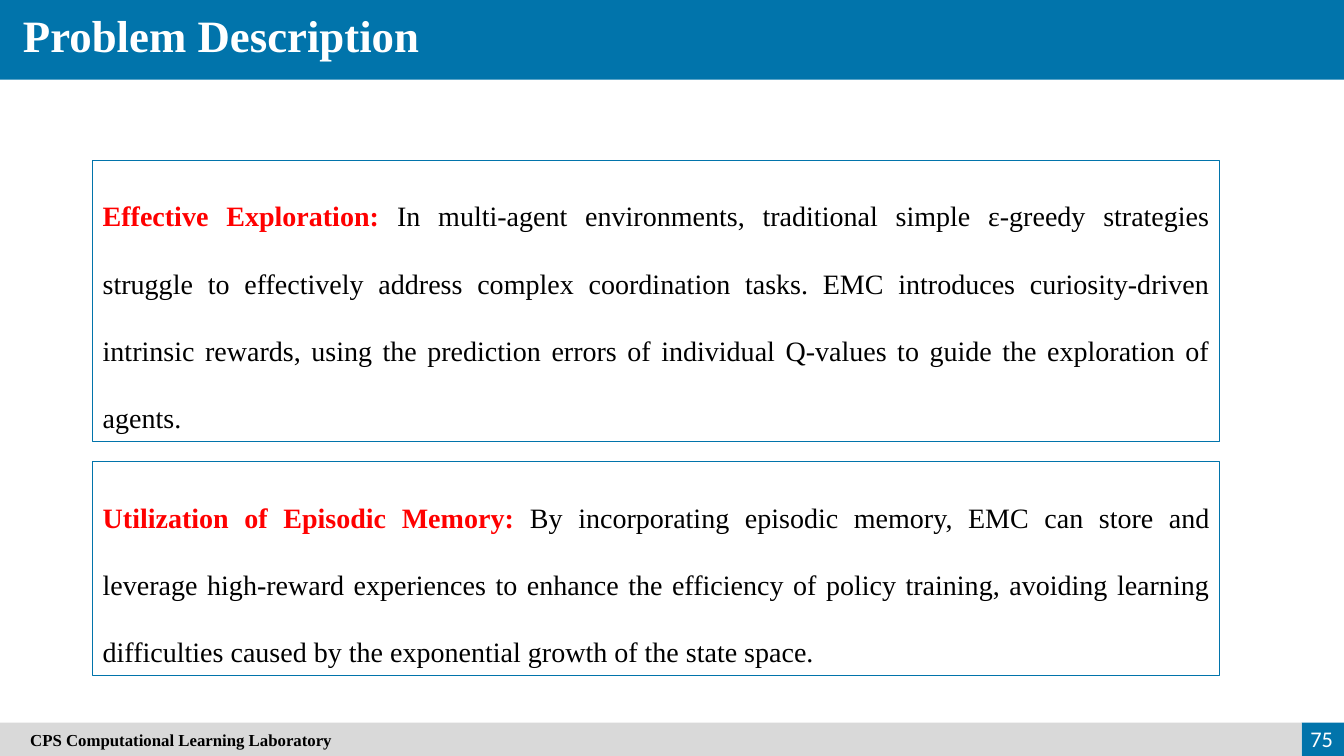
from pptx import Presentation
from pptx.dml.color import RGBColor
from pptx.enum.shapes import MSO_SHAPE
from pptx.enum.text import MSO_ANCHOR, PP_ALIGN
from pptx.util import Inches, Pt

BLUE = RGBColor(0x01, 0x74, 0xAB)
GREY = RGBColor(0xD9, 0xD9, 0xD9)
RED = RGBColor(0xFF, 0x00, 0x00)
BLACK = RGBColor(0x00, 0x00, 0x00)
WHITE = RGBColor(0xFF, 0xFF, 0xFF)
SERIF = "Times New Roman"

WIDE, HIGH = 13.33, 7.5
HEAD = 0.79             # title band height
FOOT = 0.33             # footer height
TAB = 0.42              # page number tab width
EDGE = 0.92             # left edge of the panels
SPAN = 11.18            # panel width
GAP = 0.2               # space between panels

deck = Presentation()
deck.slide_width, deck.slide_height = Inches(WIDE), Inches(HIGH)
slide = deck.slides.add_slide(deck.slide_layouts[6])


def block(left, top, width, height, fill=None, line=None):
    shape = slide.shapes.add_shape(
        MSO_SHAPE.RECTANGLE, Inches(left), Inches(top), Inches(width), Inches(height))
    shape.shadow.inherit = False
    if fill is None:
        shape.fill.background()
    else:
        shape.fill.solid()
        shape.fill.fore_color.rgb = fill
    if line is None:
        shape.line.fill.background()
    else:
        shape.line.color.rgb = line
        shape.line.width = Pt(0.75)
    return shape


def write(shape, parts, size, align, anchor=MSO_ANCHOR.TOP, face=SERIF):
    """Fill a shape with one paragraph of (text, colour, bold) parts."""
    frame = shape.text_frame
    frame.word_wrap = True
    frame.vertical_anchor = anchor
    para = frame.paragraphs[0]
    para.alignment = align
    for text, color, bold in parts:
        run = para.add_run()
        run.text = text
        run.font.name = face
        run.font.size = Pt(size)
        run.font.bold = bold
        run.font.color.rgb = color
    return para


# Title band
block(0, 0, WIDE, HEAD, BLUE)
title = slide.shapes.add_textbox(Inches(0.13), Inches(0.03), Inches(5.37), Inches(0.64))
write(title, [("Problem Description", WHITE, True)], 32, PP_ALIGN.JUSTIFY)

# Footer with page number
base = HIGH - FOOT
block(WIDE - TAB, base, TAB, FOOT, BLUE)
foot = block(0, base, WIDE - TAB, FOOT, GREY)
write(foot, [("CPS Computational Learning Laboratory", BLACK, True)], 12,
      PP_ALIGN.LEFT, MSO_ANCHOR.MIDDLE)
foot.text_frame.margin_left = Inches(0.3)
page = slide.shapes.add_textbox(Inches(12.69), Inches(7.13), Inches(0.63), Inches(0.4))
write(page, [("75", WHITE, False)], 16, PP_ALIGN.RIGHT, MSO_ANCHOR.MIDDLE, "Calibri")

# Problem panels, stacked downwards
panels = [
    (2.79, "Effective Exploration:",
     " In multi-agent environments, traditional simple ε-greedy strategies struggle to "
     "effectively address complex coordination tasks. EMC introduces curiosity-driven "
     "intrinsic rewards, using the prediction errors of individual Q-values to guide the "
     "exploration of agents."),
    (2.12, "Utilization of Episodic Memory: ",
     "By incorporating episodic memory, EMC can store and leverage high-reward experiences "
     "to enhance the efficiency of policy training, avoiding learning difficulties caused "
     "by the exponential growth of the state space."),
]
top = 1.59
for height, lead, body in panels:
    panel = block(EDGE, top, SPAN, height, line=BLUE)
    para = write(panel, [(lead, RED, True), (body, BLACK, False)], 20, PP_ALIGN.JUSTIFY)
    para.line_spacing = 2.0
    top += height + GAP

deck.save("out.pptx")
